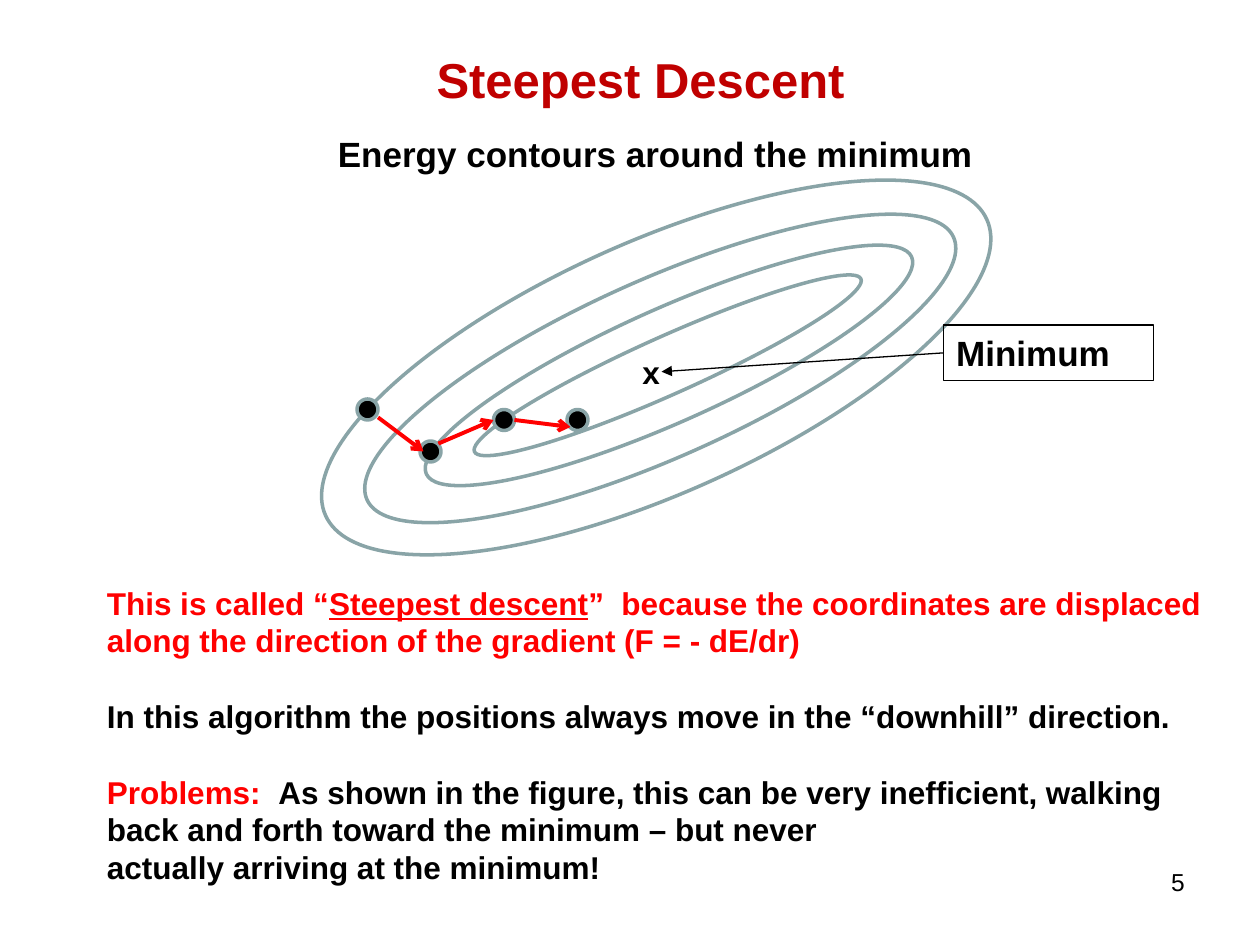
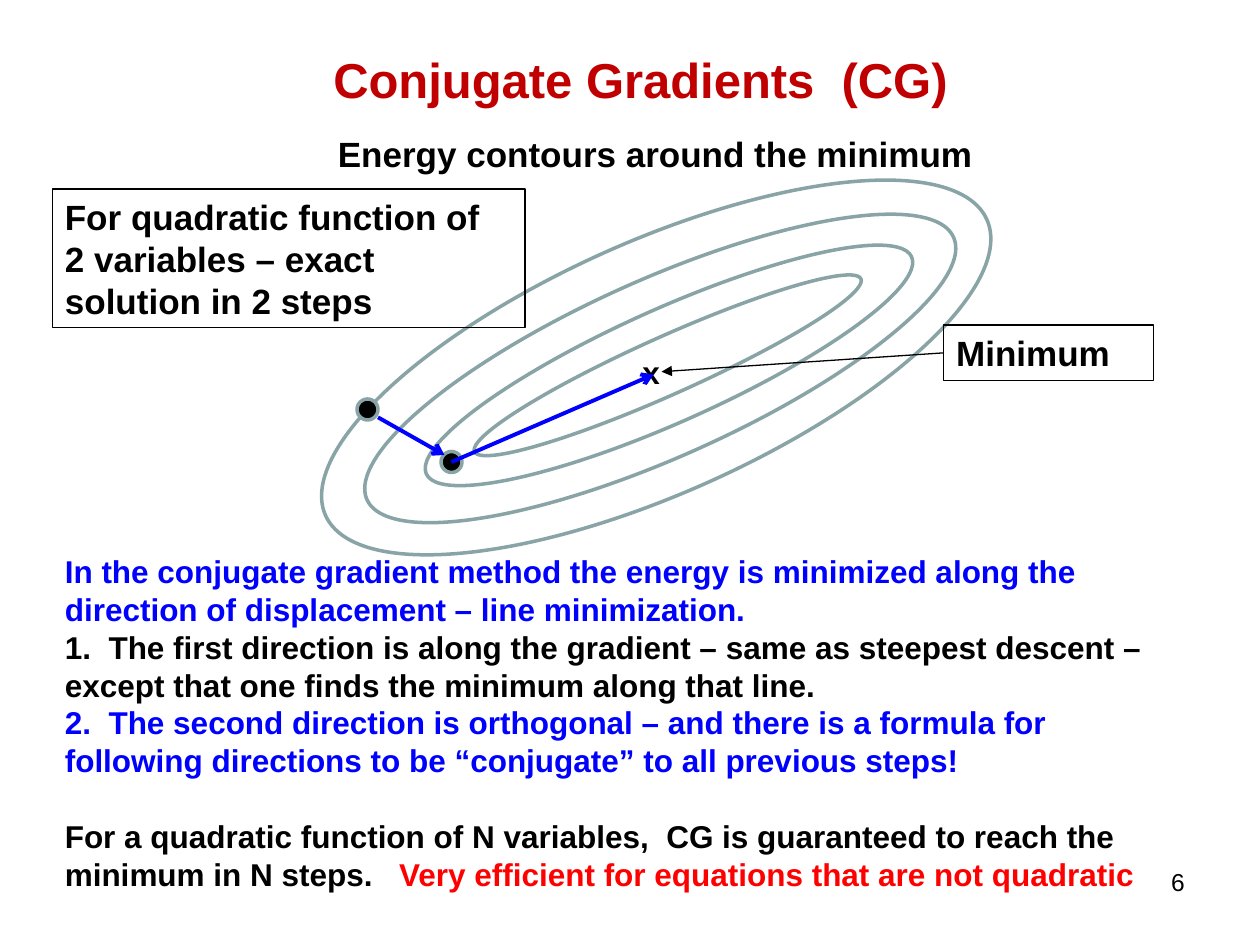
from dataclasses import dataclass
from typing import NamedTuple, Optional

from lxml import etree
from pptx import Presentation
from pptx.dml.color import RGBColor
from pptx.enum.shapes import MSO_CONNECTOR, MSO_SHAPE
from pptx.enum.text import MSO_ANCHOR, PP_ALIGN
from pptx.oxml.ns import qn
from pptx.util import Pt

ELLIPSE, RECTANGLE = MSO_SHAPE.OVAL, MSO_SHAPE.RECTANGLE
STRAIGHT = MSO_CONNECTOR.STRAIGHT
LEFT, CENTER, RIGHT = PP_ALIGN.LEFT, PP_ALIGN.CENTER, PP_ALIGN.RIGHT
TOP, MIDDLE = MSO_ANCHOR.TOP, MSO_ANCHOR.MIDDLE
LEFT_SIDE = 1

FONT = "Arial"
BLACK, RED, BLUE = "000000", "FF0000", "0000FF"
TITLE_RED, CONTOUR_GREY = "C00000", "89A4A7"
TITLE_SIZE, LABEL_SIZE, BODY_SIZE, NUMBER_SIZE = 28, 20, 18, 14
LINE_HEIGHT = 1.2
CONTOUR_ANGLE = 335.9
DOT_SIZE = 12


class Box(NamedTuple):
    left: float
    top: float
    width: float
    height: float


class Point(NamedTuple):
    x: float
    y: float


class Step(NamedTuple):
    start: Point
    end: Point


class Run(NamedTuple):
    text: str
    color: str = BLACK
    underline: bool = False


@dataclass
class Paragraph:
    runs: list[Run]
    gap_before: bool = False


@dataclass
class MethodSlide:
    title: str
    number: int
    body_box: Box
    body: list[Paragraph]
    dots: list[Point]
    steps: list[Step]
    step_color: str
    note: Optional[list[Paragraph]] = None


TITLE_BOX = Box(60, 0, 612, 90)
HEADING_BOX = Box(186, 72, 390, 31.7)
MINIMUM_MARK_BOX = Box(360, 198, 24.5, 28.8)
MINIMUM_LABEL_BOX = Box(539.3, 185.8, 120, 31.7)
MINIMUM_ARROW_END = Point(378, 212.4)
NOTE_BOX = Box(30, 108, 270, 79.2)
NUMBER_BOX = Box(516, 492, 168, 37.4)
CONTOURS = [
    Box(168, 138, 414, 144),
    Box(193.7, 159.8, 367.2, 101.5),
    Box(230.4, 176.4, 303.8, 64.8),
    Box(260.6, 192.2, 241.9, 33.1),
]
START_DOT = Point(204, 228)
START_STEP = Point(216, 238.5)

SLIDES = [
    MethodSlide(
        title="Steepest Descent",
        number=5,
        body_box=Box(54, 330, 648, 180),
        body=[
            Paragraph([
                Run("This is called “", RED),
                Run("Steepest descent", RED, underline=True),
                Run("”  because the coordinates are displaced along the direction "
                    "of the gradient (F = - dE/dr)", RED),
            ]),
            Paragraph([Run("In this algorithm the positions always move in the "
                           "“downhill” direction.")], gap_before=True),
            Paragraph([
                Run("Problems:  ", RED),
                Run("As shown in the figure, this can be very inefficient, walking "
                    "back and forth toward the minimum – but never"),
            ], gap_before=True),
            Paragraph([Run("actually arriving at the minimum!")]),
        ],
        dots=[START_DOT, Point(240, 252), Point(282, 234), Point(324, 234)],
        steps=[
            Step(START_STEP, Point(242, 258)),
            Step(Point(250.5, 253.5), Point(282, 240)),
            Step(Point(294, 240), Point(326, 244)),
        ],
        step_color=RED,
    ),
    MethodSlide(
        title="Conjugate Gradients  (CG)",
        number=6,
        body_box=Box(30, 312, 648, 201.6),
        body=[
            Paragraph([Run("In the conjugate gradient method the energy is minimized "
                           "along the direction of displacement – line minimization.",
                           BLUE)]),
            Paragraph([Run("1.  The first direction is along the gradient – same as "
                           "steepest descent – except that one finds the minimum "
                           "along that line.")]),
            Paragraph([Run("2.  The second direction is orthogonal – and there is a "
                           "formula for following directions to be “conjugate” to all "
                           "previous steps!", BLUE)]),
            Paragraph([
                Run("For a quadratic function of N variables,  CG is guaranteed to "
                    "reach the minimum in N steps.  "),
                Run(" Very efficient for equations that are not quadratic", RED),
            ], gap_before=True),
        ],
        dots=[START_DOT, Point(252, 258)],
        steps=[
            Step(START_STEP, Point(254, 260)),
            Step(Point(258, 264), Point(373.5, 214)),
        ],
        step_color=BLUE,
        note=[
            Paragraph([Run("For quadratic function of")]),
            Paragraph([Run("2 variables – exact solution in 2 steps")]),
        ],
    ),
]


def rgb(color: str) -> RGBColor:
    return RGBColor.from_string(color)


def in_points(box: Box) -> list[Pt]:
    return [Pt(length) for length in box]


def write_text(shape, paragraphs: list[Paragraph], size: float, bold=True,
               align=LEFT, anchor=TOP, wrap=True) -> None:
    frame = shape.text_frame
    frame.word_wrap = wrap
    frame.vertical_anchor = anchor
    for index, content in enumerate(paragraphs):
        paragraph = frame.add_paragraph() if index else frame.paragraphs[0]
        paragraph.alignment = align
        paragraph.line_spacing = Pt(size * LINE_HEIGHT)
        if content.gap_before:
            paragraph.space_before = Pt(size * LINE_HEIGHT)
        for part in content.runs:
            run = paragraph.add_run()
            run.text = part.text
            run.font.name = FONT
            run.font.size = Pt(size)
            run.font.bold = bold
            run.font.color.rgb = rgb(part.color)
            if part.underline:
                run.font.underline = True


def add_text(slide, box: Box, paragraphs: list[Paragraph], size: float, **style) -> None:
    write_text(slide.shapes.add_textbox(*in_points(box)), paragraphs, size, **style)


def add_outlined(shapes, kind, box: Box, line_color: str, line_width: float,
                 fill: Optional[str] = None):
    shape = shapes.add_shape(kind, *in_points(box))
    shape.shadow.inherit = False
    shape.line.color.rgb = rgb(line_color)
    shape.line.width = Pt(line_width)
    if fill:
        shape.fill.solid()
        shape.fill.fore_color.rgb = rgb(fill)
    else:
        shape.fill.background()
    return shape


def add_label(slide, box: Box, paragraphs: list[Paragraph]):
    label = add_outlined(slide.shapes, RECTANGLE, box, BLACK, 0.75)
    write_text(label, paragraphs, LABEL_SIZE)
    return label


def add_arrow(slide, start: Point, end: Point, color: str, width: float, head: str):
    arrow = slide.shapes.add_connector(
        STRAIGHT, Pt(start.x), Pt(start.y), Pt(end.x), Pt(end.y))
    arrow.line.color.rgb = rgb(color)
    arrow.line.width = Pt(width)
    etree.SubElement(arrow.line._get_or_add_ln(), qn("a:tailEnd"), type=head)
    etree.SubElement(arrow._element.spPr, qn("a:effectLst"))
    return arrow


def add_contours(slide) -> None:
    group = slide.shapes.add_group_shape()
    for box in CONTOURS:
        contour = add_outlined(group.shapes, ELLIPSE, box, CONTOUR_GREY, 2)
        contour.rotation = CONTOUR_ANGLE


def add_minimum_label(slide) -> None:
    label = add_label(slide, MINIMUM_LABEL_BOX, [Paragraph([Run("Minimum")])])
    box = MINIMUM_LABEL_BOX
    start = Point(box.left, box.top + box.height / 2)
    arrow = add_arrow(slide, start, MINIMUM_ARROW_END, BLACK, 0.75, "triangle")
    arrow.begin_connect(label, LEFT_SIDE)


def build_slide(presentation, method: MethodSlide) -> None:
    slide = presentation.slides.add_slide(presentation.slide_layouts[6])
    add_text(slide, TITLE_BOX, [Paragraph([Run(method.title, TITLE_RED)])],
             TITLE_SIZE, align=CENTER, anchor=MIDDLE)
    add_text(slide, method.body_box, method.body, BODY_SIZE)
    add_text(slide, HEADING_BOX,
             [Paragraph([Run("Energy contours around the minimum")])], LABEL_SIZE)
    add_contours(slide)
    for dot in method.dots:
        add_outlined(slide.shapes, ELLIPSE, Box(dot.x, dot.y, DOT_SIZE, DOT_SIZE),
                     CONTOUR_GREY, 2, fill=BLACK)
    add_text(slide, MINIMUM_MARK_BOX, [Paragraph([Run("x")])], BODY_SIZE, wrap=False)
    for step in method.steps:
        add_arrow(slide, step.start, step.end, method.step_color, 2.25, "arrow")
    add_minimum_label(slide)
    if method.note:
        add_label(slide, NOTE_BOX, method.note)
    add_text(slide, NUMBER_BOX, [Paragraph([Run(str(method.number))])],
             NUMBER_SIZE, bold=False, align=RIGHT)


def main() -> None:
    presentation = Presentation()
    presentation.slide_width = Pt(720)
    presentation.slide_height = Pt(540)
    for method in SLIDES:
        build_slide(presentation, method)
    presentation.save("out.pptx")


if __name__ == "__main__":
    main()
